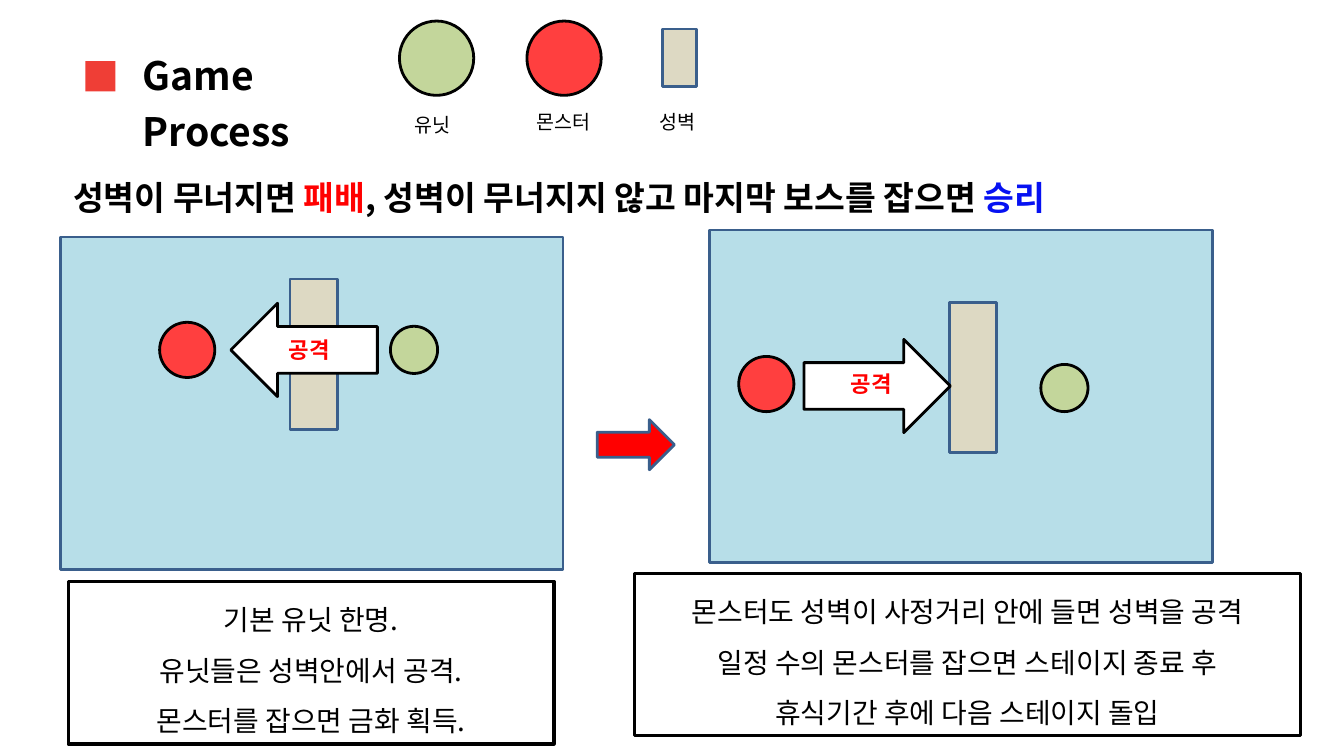
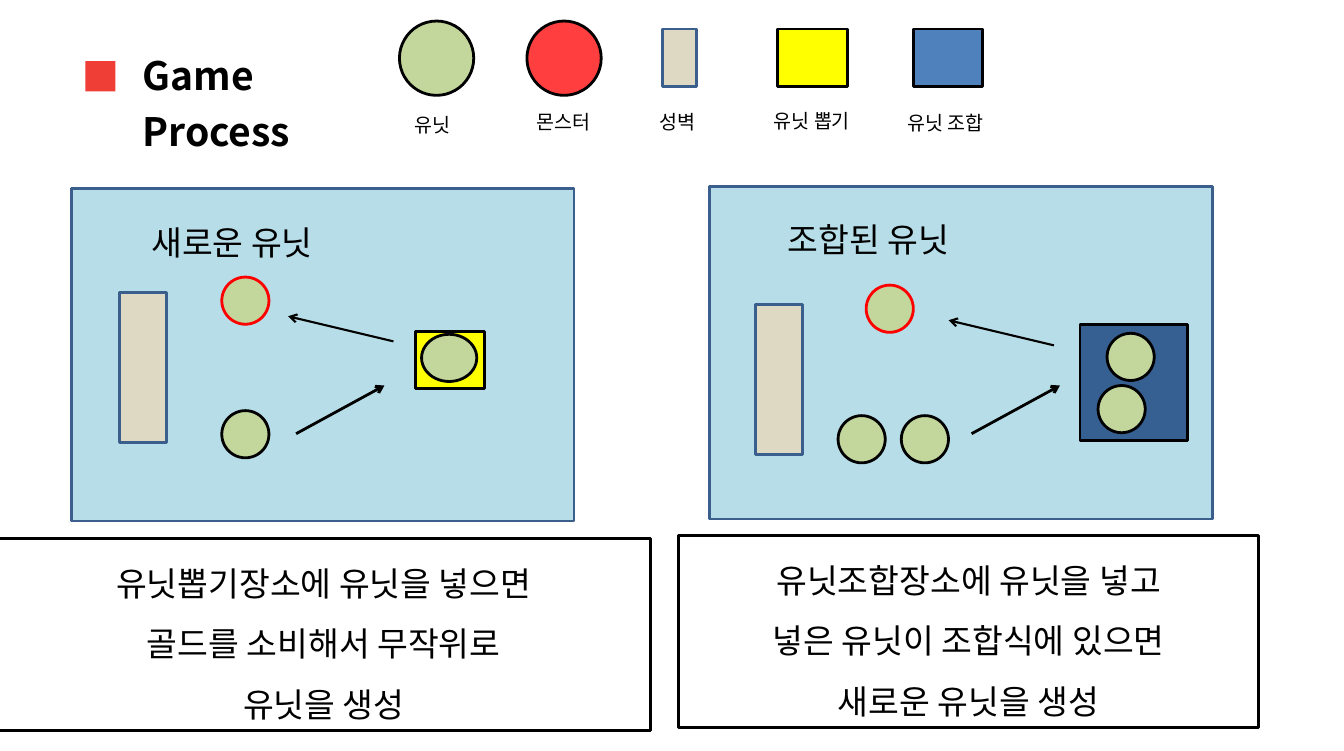
from dataclasses import dataclass

from lxml.etree import SubElement
from pptx import Presentation
from pptx.dml.color import RGBColor
from pptx.enum.shapes import MSO_CONNECTOR, MSO_SHAPE
from pptx.enum.text import MSO_ANCHOR, MSO_AUTO_SIZE, PP_ALIGN
from pptx.oxml.ns import qn
from pptx.util import Inches, Pt


@dataclass(frozen=True)
class Theme:
    font: str = "Noto Sans CJK KR"
    black: str = "000000"
    white: str = "FFFFFF"
    red: str = "FF0000"
    blue: str = "0611F2"
    border: str = "3A5F8C"
    field: str = "B7DEE8"
    unit: str = "C3D69B"
    monster: str = "FF3F3F"
    wall: str = "DDD9C3"
    draw: str = "FFFF00"
    combine: str = "4F81BD"
    combine_dark: str = "376092"
    marker: str = "EF3E36"
    title_size: int = 28
    heading_size: int = 24
    body_size: int = 20
    action_size: int = 16
    label_size: int = 14
    title_gap: int = 7
    line: float = 2
    thin_line: float = 1.5
    frame_line: float = 2.25


THEME = Theme()
UNIT_SIZE = 0.47
MONSTER_SIZE = 0.55
WALL_SIZE = (0.47, 1.5)
FIELD_SIZE = (5.01, 3.31)
ARROW_SIZE = (1.46, 0.93)
DRAW_SIZE = (0.69, 0.57)


def inches(*lengths):
    return [Inches(length) for length in lengths]


def color(value):
    return RGBColor.from_string(value)


def write(shape, paragraphs, size, ink=THEME.black, bold=False,
          align=PP_ALIGN.LEFT, spacing=1.0, gap=0):
    """Each paragraph is a string or a list of (words, ink) pairs."""
    frame = shape.text_frame
    frame.word_wrap = True
    frame.auto_size = MSO_AUTO_SIZE.NONE
    frame.vertical_anchor = MSO_ANCHOR.TOP
    for index, content in enumerate(paragraphs):
        para = frame.add_paragraph() if index else frame.paragraphs[0]
        para.alignment = align
        para.line_spacing = spacing
        para.space_before = Pt(gap if index else 0)
        spans = [(content, ink)] if isinstance(content, str) else content
        for words, span_ink in spans:
            span = para.add_run()
            span.text = words
            span.font.name = THEME.font
            span.font.size = Pt(size)
            span.font.bold = bold
            span.font.color.rgb = color(span_ink)
            properties = span.font._element
            SubElement(properties, qn("a:ea")).set("typeface", THEME.font)


def add_text(page, area, paragraphs, size, **style):
    box = page.shapes.add_textbox(*inches(*area))
    write(box, paragraphs, size, **style)


def add_figure(page, kind, area, fill=None, line=THEME.black,
               width=THEME.line, rotation=0):
    shape = page.shapes.add_shape(kind, *inches(*area))
    shape.shadow.inherit = False
    shape.rotation = rotation
    if fill:
        shape.fill.solid()
        shape.fill.fore_color.rgb = color(fill)
    else:
        shape.fill.background()
    if line:
        shape.line.color.rgb = color(line)
        shape.line.width = Pt(width)
    else:
        shape.line.fill.background()
    return shape


def add_unit(page, left, top, line=THEME.black, width=UNIT_SIZE):
    add_figure(page, MSO_SHAPE.OVAL, (left, top, width, UNIT_SIZE),
               THEME.unit, line)


def add_monster(page, left, top):
    add_figure(page, MSO_SHAPE.OVAL, (left, top, MONSTER_SIZE, MONSTER_SIZE),
               THEME.monster)


def add_wall(page, left, top):
    add_figure(page, MSO_SHAPE.RECTANGLE, (left, top, *WALL_SIZE),
               THEME.wall, THEME.border)


def add_field(page, left, top):
    add_figure(page, MSO_SHAPE.RECTANGLE, (left, top, *FIELD_SIZE),
               THEME.field, THEME.border)


def add_description(page, area, lines, size):
    frame = add_figure(page, MSO_SHAPE.RECTANGLE, area,
                       width=THEME.frame_line)
    write(frame, lines, size, align=PP_ALIGN.CENTER, spacing=1.5)


def add_attack(page, left, top, label_left, label_top, rotation=0):
    add_figure(page, MSO_SHAPE.RIGHT_ARROW, (left, top, *ARROW_SIZE),
               THEME.white, rotation=rotation)
    add_text(page, (label_left, label_top, 0.86, 0.37), ["공격"],
             THEME.action_size, ink=THEME.red, bold=True)


def add_arrow(page, start, end, width=THEME.line):
    arrow = page.shapes.add_connector(MSO_CONNECTOR.STRAIGHT,
                                      *inches(*start, *end))
    arrow.line.color.rgb = color(THEME.black)
    arrow.line.width = Pt(width)
    SubElement(arrow.line._get_or_add_ln(), qn("a:tailEnd")).set("type", "arrow")
    SubElement(arrow._element.spPr, qn("a:effectLst"))


def add_moves(page, left, return_left, return_top):
    """Arrows of a unit going into a place and of a new one coming out."""
    add_arrow(page, (left, 4.32), (left + 0.88, 3.84))
    add_arrow(page, (return_left + 1.05, return_top + 0.25),
              (return_left, return_top), THEME.thin_line)


def add_legend(page, count):
    entries = (
        (MSO_SHAPE.OVAL, (3.98, 0.21, 0.74, 0.74), THEME.unit, THEME.black,
         "유닛", (4.03, 1.08, 0.63, 0.34)),
        (MSO_SHAPE.OVAL, (5.25, 0.21, 0.74, 0.74), THEME.monster, THEME.black,
         "몬스터", (5.25, 1.05, 0.92, 0.34)),
        (MSO_SHAPE.RECTANGLE, (6.6, 0.29, 0.34, 0.57), THEME.wall, THEME.border,
         "성벽", (6.47, 1.05, 0.59, 0.34)),
        (MSO_SHAPE.RECTANGLE, (7.75, 0.29, *DRAW_SIZE), THEME.draw, THEME.black,
         "유닛 뽑기", (7.61, 1.04, 1.18, 0.34)),
        (MSO_SHAPE.RECTANGLE, (9.1, 0.29, *DRAW_SIZE), THEME.combine, THEME.black,
         "유닛 조합", (8.94, 1.06, 1.25, 0.34)),
    )
    for kind, area, fill, line, label, label_area in entries[:count]:
        add_figure(page, kind, area, fill, line)
        add_text(page, label_area, [label], THEME.label_size)


def add_page(deck, legend_count):
    page = deck.slides.add_slide(deck.slide_layouts[5])
    title = page.shapes.title
    title.left, title.top, title.width, title.height = inches(1.42, 0.51, 2.05, 1.04)
    frame = title.text_frame
    frame.margin_left = frame.margin_right = 0
    frame.margin_top = frame.margin_bottom = 0
    write(title, ["Game", "Process"], THEME.title_size, bold=True,
          gap=THEME.title_gap)
    add_figure(page, MSO_SHAPE.RECTANGLE, (0.85, 0.61, 0.3, 0.3),
               THEME.marker, line=None)
    add_legend(page, legend_count)
    return page


def build_battle(deck):
    page = add_page(deck, 3)

    add_field(page, 0.6, 2.36)
    add_unit(page, 3.89, 3.25)
    add_monster(page, 1.59, 3.21)
    add_wall(page, 2.89, 2.78)
    add_description(page, (0.68, 5.79, 4.84, 1.62), [
        "기본 유닛 한명.",
        "유닛들은 성벽안에서 공격.",
        "몬스터를 잡으면 금화 획득.",
    ], THEME.body_size)
    add_attack(page, 2.3, 3.02, 2.78, 3.3, rotation=180)

    add_field(page, 7.07, 2.29)
    add_unit(page, 10.37, 3.63)
    add_monster(page, 7.36, 3.55)
    add_wall(page, 9.46, 3.01)
    add_description(page, (6.32, 5.71, 6.64, 1.62), [
        "몬스터도 성벽이 사정거리 안에 들면 성벽을 공격",
        "일정 수의 몬스터를 잡으면 스테이지 종료 후",
        "휴식기간 후에 다음 스테이지 돌입",
    ], THEME.body_size)
    add_attack(page, 8.01, 3.38, 8.38, 3.64)

    add_figure(page, MSO_SHAPE.RIGHT_ARROW, (5.95, 4.18, 0.77, 0.5),
               THEME.red, THEME.border)
    add_text(page, (0.63, 1.71, 12.16, 0.5), [[
        ("성벽이 무너지면 ", THEME.black),
        ("패배", THEME.red),
        (", 성벽이 무너지지 않고 마지막 보스를 잡으면 ", THEME.black),
        ("승리", THEME.blue),
    ]], THEME.heading_size, bold=True)


def build_new_units(deck):
    page = add_page(deck, 5)

    add_description(page, (-0.03, 5.36, 6.51, 1.92), [
        "유닛뽑기장소에 유닛을 넣으면",
        "골드를 소비해서 무작위로",
        "유닛을 생성",
    ], THEME.heading_size)
    add_field(page, 0.71, 1.88)
    add_wall(page, 1.19, 2.91)
    add_unit(page, 2.21, 4.09)
    add_figure(page, MSO_SHAPE.RECTANGLE, (4.14, 3.3, *DRAW_SIZE), THEME.draw)
    add_unit(page, 4.2, 3.33, width=0.55)
    add_unit(page, 2.21, 2.76, line=THEME.red)
    add_moves(page, 2.95, 2.87, 3.15)
    add_text(page, (1.41, 2.16, 2.14, 0.5), ["새로운 유닛"], THEME.heading_size)

    add_field(page, 7.07, 1.86)
    add_wall(page, 7.53, 3.03)
    add_figure(page, MSO_SHAPE.RECTANGLE, (10.76, 3.23, 1.07, 1.16),
               THEME.combine_dark)
    for left, top in ((8.35, 4.14), (8.98, 4.14), (11.03, 3.32), (10.94, 3.84)):
        add_unit(page, left, top)
    add_unit(page, 8.63, 2.84, line=THEME.red)
    add_description(page, (6.76, 5.33, 5.78, 1.92), [
        "유닛조합장소에 유닛을 넣고",
        "넣은 유닛이 조합식에 있으면",
        "새로운 유닛을 생성",
    ], THEME.heading_size)
    add_moves(page, 9.68, 9.45, 3.19)
    add_text(page, (7.75, 2.13, 2.31, 0.5), ["조합된 유닛"], THEME.heading_size)


def main():
    deck = Presentation()
    deck.slide_width, deck.slide_height = inches(13.39, 7.48)
    build_battle(deck)
    build_new_units(deck)
    deck.save("out.pptx")


if __name__ == "__main__":
    main()
